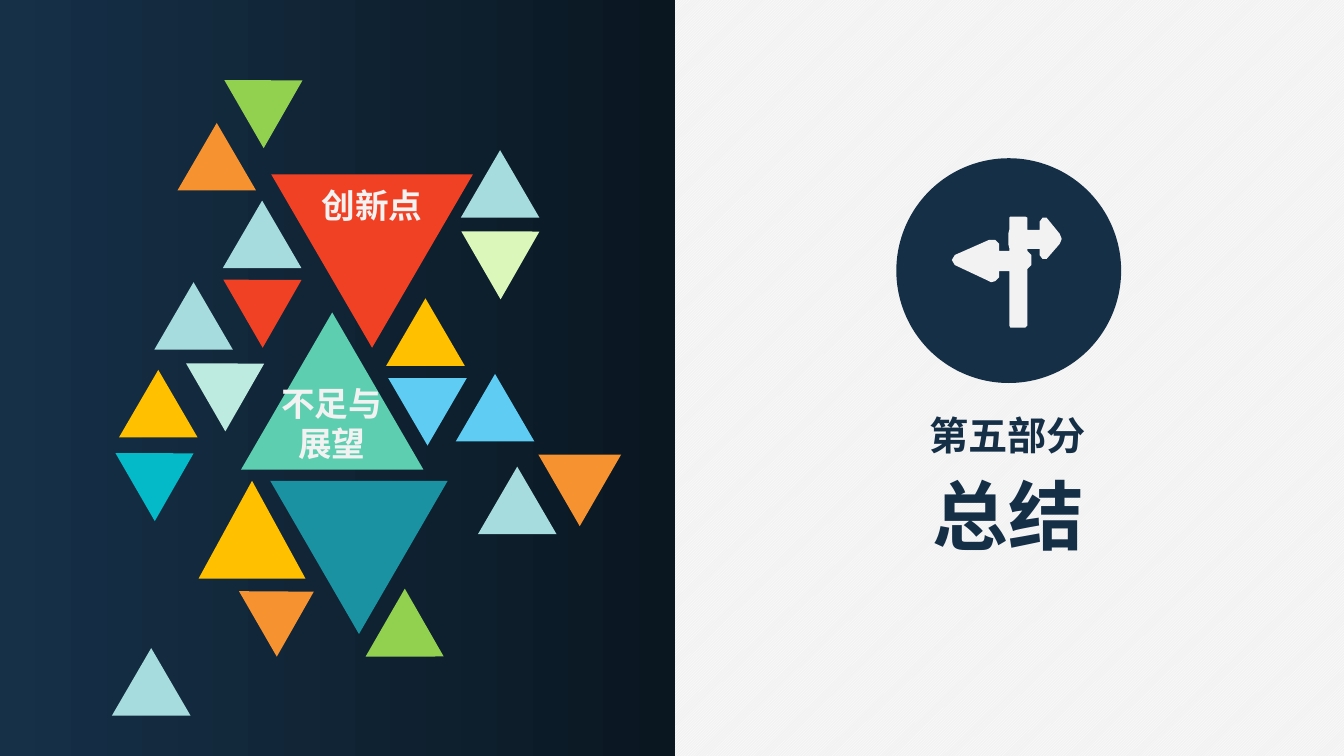
import pptx
import pptx.util
import pptx.dml.color
import pptx.enum.dml
import pptx.enum.shapes
import pptx.enum.text
import pptx.oxml.ns
import lxml.etree

RGBColor = pptx.dml.color.RGBColor
Shapes = pptx.enum.shapes.MSO_SHAPE

COLUMNS, ROWS = 13.33, 7.5
CELL = pptx.util.Inches(1)
FONT = "Noto Sans CJK SC"

NAVY = RGBColor(0x15, 0x2F, 0x47)
PANEL_LEFT = RGBColor(0x16, 0x30, 0x48)
PANEL_RIGHT = RGBColor(0x0A, 0x17, 0x21)
WHITE = RGBColor(0xFF, 0xFF, 0xFF)
PALE = RGBColor(0xF2, 0xF2, 0xF2)
MIST = RGBColor(0xA7, 0xDC, 0xDE)
MINT = RGBColor(0xBE, 0xEB, 0xDF)
JADE = RGBColor(0x5D, 0xCE, 0xAF)
TEAL = RGBColor(0x1A, 0x92, 0xA2)
CYAN = RGBColor(0x05, 0xBA, 0xC8)
SKY = RGBColor(0x5E, 0xCC, 0xF3)
ORANGE = RGBColor(0xF6, 0x92, 0x30)
AMBER = RGBColor(0xFF, 0xC0, 0x00)
RED = RGBColor(0xF1, 0x41, 0x24)
GREEN = RGBColor(0x92, 0xD0, 0x50)
LIME = RGBColor(0xDC, 0xF7, 0xBA)

SMALL = (0.78, 0.67)
TRIANGLES = [
    (1.53, 2.8, SMALL, 0, MIST),
    (4.57, 1.49, SMALL, 0, MIST),
    (1.94, 3.44, SMALL, 60, MINT),
    (2.39, 3.1, (1.81, 1.56), 0, JADE),
    (2.68, 4.77, (1.76, 1.52), 180, TEAL),
    (1.11, 6.43, SMALL, 0, MIST),
    (4.52, 3.71, SMALL, 0, SKY),
    (1.76, 1.22, SMALL, 0, ORANGE),
    (2.21, 1.99, SMALL, 0, MIST),
    (2.32, 0.63, SMALL, 60, GREEN),
    (4.67, 2.13, SMALL, 60, LIME),
    (1.24, 4.33, SMALL, 60, CYAN),
    (5.34, 4.51, (0.82, 0.71), 180, ORANGE),
    (3.83, 2.96, SMALL, 0, AMBER),
    (3.85, 3.75, SMALL, 180, SKY),
    (2.31, 2.61, SMALL, 60, RED),
    (2.46, 5.71, (0.75, 0.64), 60, ORANGE),
    (4.74, 4.63, SMALL, 0, MIST),
    (2.69, 1.73, (2, 1.72), 180, RED),
    (3.72, 6.01, SMALL, 120, GREEN),
    (1.18, 3.67, SMALL, 0, AMBER),
    (1.97, 4.77, (1.06, 0.97), 0, AMBER),
]

SIGNPOST_HUNDREDTHS = [
    (1051, 232), (1038, 216), (1034, 216), (1031, 220), (1031, 228),
    (1019, 228), (1019, 216), (1017, 215), (1002, 215), (1001, 216),
    (1001, 228), (1000, 232), (1000, 242), (1001, 246), (1001, 249),
    (991, 249), (991, 242), (987, 238), (981, 238), (947, 253),
    (944, 258), (947, 263), (981, 279), (983, 280), (987, 279),
    (991, 275), (991, 269), (1001, 269), (1001, 323), (1002, 325),
    (1017, 325), (1019, 323), (1019, 267), (1023, 263), (1023, 253),
    (1019, 249), (1019, 247), (1031, 247), (1031, 253), (1034, 257),
    (1038, 257), (1051, 242), (1053, 237),
]


def grid(*cells):
    return [round(cell * CELL) for cell in cells]


def paint(shape, color):
    shape.shadow.inherit = False
    shape.line.fill.background()
    shape.fill.solid()
    shape.fill.fore_color.rgb = color


def add_filled(shapes, kind, left, top, size, color, rotation=0):
    shape = shapes.add_shape(kind, *grid(left, top, *size))
    shape.rotation = rotation
    paint(shape, color)
    return shape


def write_text(shape, box, lines, size, color):
    shape.left, shape.top, shape.width, shape.height = grid(*box)
    frame = shape.text_frame
    frame.text = "\n".join(lines)
    frame.word_wrap = False
    frame.auto_size = pptx.enum.text.MSO_AUTO_SIZE.SHAPE_TO_FIT_TEXT
    for paragraph in frame.paragraphs:
        paragraph.alignment = pptx.enum.text.PP_ALIGN.CENTER
        font = paragraph.font
        font.name = FONT
        font.size = pptx.util.Pt(size)
        font.bold = True
        font.color.rgb = color
        properties = paragraph._p.pPr.find(pptx.oxml.ns.qn("a:defRPr"))
        lxml.etree.SubElement(properties, pptx.oxml.ns.qn("a:ea"), typeface=FONT)


def add_label(slide, box, lines, size, color):
    write_text(slide.shapes.add_textbox(*grid(*box)), box, lines, size, color)


def add_background(slide):
    fill = slide.background.fill
    fill.patterned()
    fill.pattern = pptx.enum.dml.MSO_PATTERN.LIGHT_UPWARD_DIAGONAL
    fill.fore_color.rgb = WHITE
    fill.back_color.rgb = PALE


def add_panel(slide):
    panel = add_filled(slide.shapes, Shapes.RECTANGLE, 0, 0, (6.69, ROWS), PANEL_LEFT)
    panel.fill.gradient()
    panel.fill.gradient_angle = 0
    for stop, color in zip(panel.fill.gradient_stops, (PANEL_LEFT, PANEL_RIGHT)):
        stop.color.rgb = color


def add_signpost_badge(slide):
    badge = slide.shapes.add_group_shape()
    add_filled(badge.shapes, Shapes.OVAL, 8.89, 1.57, (2.23, 2.23), NAVY)
    start, *corners = SIGNPOST_HUNDREDTHS
    builder = badge.shapes.build_freeform(*start, scale=CELL / 100)
    builder.add_line_segments(corners, close=True)
    paint(builder.convert_to_shape(), PALE)


def main():
    presentation = pptx.Presentation()
    presentation.slide_width, presentation.slide_height = grid(COLUMNS, ROWS)
    slide = presentation.slides.add_slide(presentation.slide_layouts[5])
    add_background(slide)
    add_panel(slide)
    write_text(slide.shapes.title, (9.14, 4.6, 1.72, 1.01), ["总结"], 54, NAVY)
    add_label(slide, (9.11, 4.03, 1.77, 0.57), ["第五部分"], 28, NAVY)
    add_signpost_badge(slide)
    for left, top, size, rotation, color in TRIANGLES:
        add_filled(slide.shapes, Shapes.ISOSCELES_TRIANGLE, left, top, size, color, rotation)
    add_label(slide, (3.09, 1.79, 1.2, 0.5), ["创新点"], 24, PALE)
    add_label(slide, (2.69, 3.75, 1.2, 0.91), ["不足与", "展望"], 24, PALE)
    presentation.save("out.pptx")


if __name__ == "__main__":
    main()
